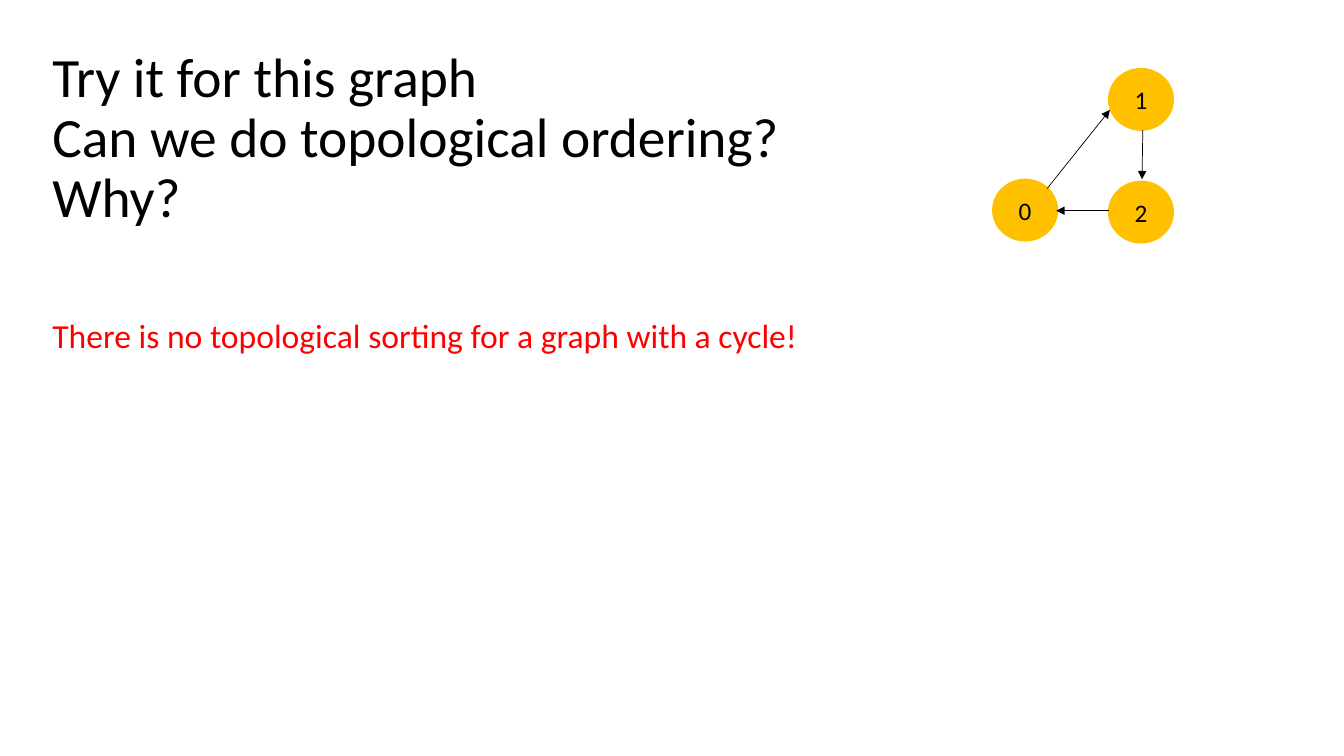
from lxml import etree
from pptx import Presentation
from pptx.dml.color import RGBColor
from pptx.enum.shapes import MSO_CONNECTOR, MSO_SHAPE
from pptx.enum.text import MSO_ANCHOR, PP_ALIGN
from pptx.oxml.ns import qn
from pptx.util import Cm, Pt

ELLIPSE = MSO_SHAPE.OVAL
STRAIGHT = MSO_CONNECTOR.STRAIGHT
MIDDLE, TOP = MSO_ANCHOR.MIDDLE, MSO_ANCHOR.TOP
LEFT, CENTER = PP_ALIGN.LEFT, PP_ALIGN.CENTER

COLORS = {"text": "000000", "answer": "FF0000", "node": "FFC000"}
NODE_WIDTH, NODE_HEIGHT = 1.63, 1.55


def color(name):
    return RGBColor.from_string(COLORS[name])


def write(shape, text, size, color_name, align, anchor, line_spacing=1.0):
    """Fill the shape with one paragraph, where a vertical tab breaks the line."""
    frame = shape.text_frame
    frame.word_wrap = True
    frame.vertical_anchor = anchor
    paragraph = frame.paragraphs[0]
    paragraph.text = text
    paragraph.alignment = align
    paragraph.line_spacing = line_spacing
    for run in paragraph.runs:
        for attribute, value in {"name": "Calibri", "size": Pt(size)}.items():
            setattr(run.font, attribute, value)
        run.font.color.rgb = color(color_name)


prs = Presentation()
prs.slide_width, prs.slide_height = Cm(33.87), Cm(19.05)
slide = prs.slides.add_slide(prs.slide_layouts[6])
shapes = slide.shapes

question = shapes.add_textbox(Cm(1.07), Cm(1.68), Cm(29.21), Cm(3.68))
write(question, "Try it for this graph\vCan we do topological ordering?\vWhy?",
      39.6, "text", LEFT, MIDDLE, 0.9)

# Graph nodes: label, left, top
for label, left, top in [("2", 27.94, 4.57), ("0", 25.02, 4.52), ("1", 27.94, 1.73)]:
    node = shapes.add_shape(ELLIPSE, Cm(left), Cm(top), Cm(NODE_WIDTH), Cm(NODE_HEIGHT))
    node.shadow.inherit = False
    node.fill.solid()
    node.fill.fore_color.rgb = color("node")
    node.line.color.rgb = color("node")
    node.line.width = Pt(1)
    write(node, label, 18, "text", CENTER, MIDDLE)

# Directed edges of the cycle: 2 to 0, 1 to 2, 0 to 1
edges = [
    (27.94, 5.31, 26.62, 5.31),
    (28.8, 3.28, 28.78, 4.52),
    (26.39, 4.75, 27.97, 2.77),
]
for ends in edges:
    edge = shapes.add_connector(STRAIGHT, *[Cm(value) for value in ends])
    edge.line.color.rgb = color("text")
    edge.line.width = Pt(0.5)
    properties = edge._element.spPr
    etree.SubElement(properties.find(qn("a:ln")), qn("a:tailEnd"), type="triangle")
    etree.SubElement(properties, qn("a:effectLst"))

answer = shapes.add_textbox(Cm(1.07), Cm(7.82), Cm(25.15), Cm(1.27))
write(answer, "There is no topological sorting for a graph with a cycle!",
      24, "answer", LEFT, TOP)

prs.save("out.pptx")
